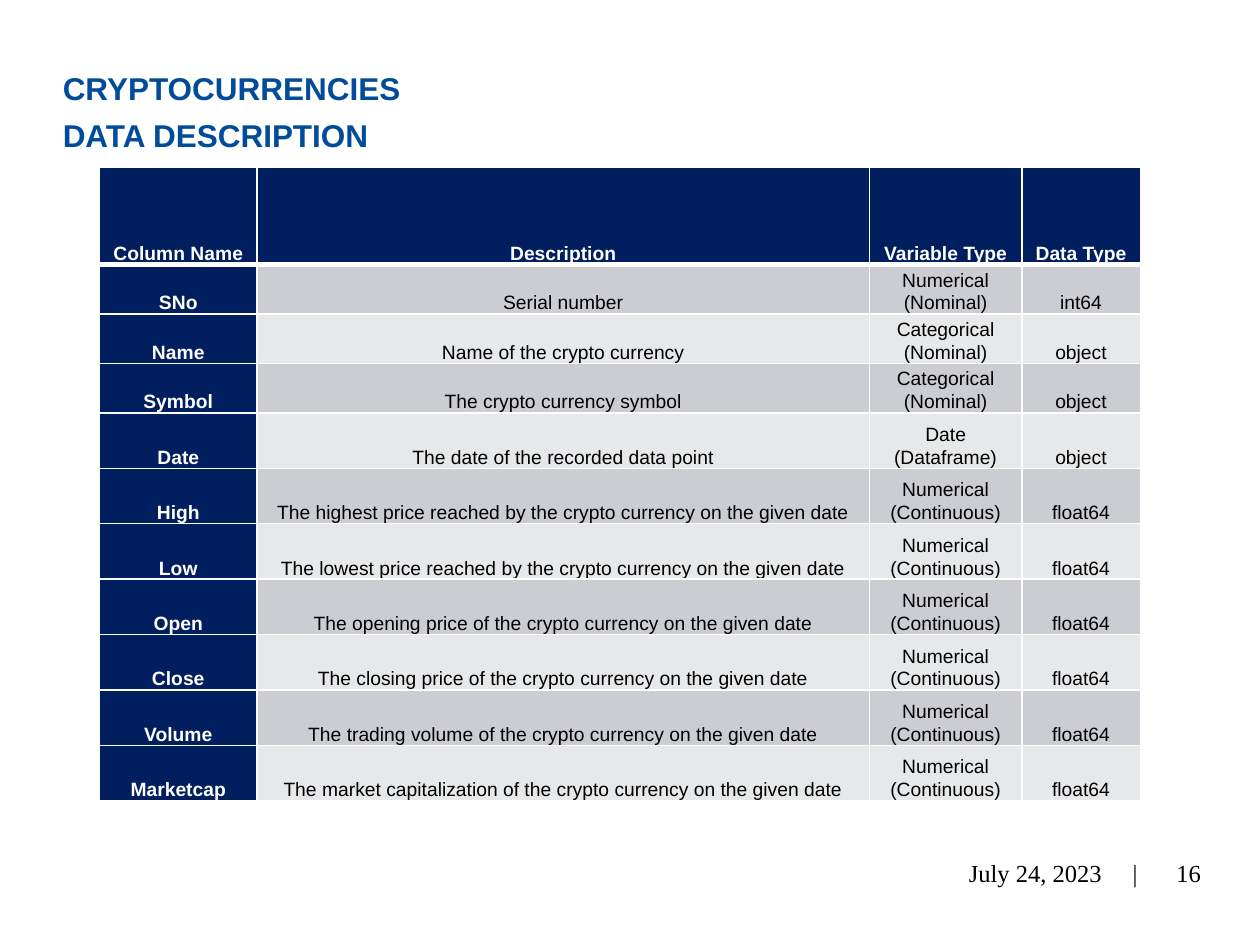
from dataclasses import dataclass

from lxml import etree
from pptx import Presentation
from pptx.dml.color import RGBColor
from pptx.enum import text as t
from pptx.oxml import ns
from pptx.util import Inches, Pt


@dataclass(frozen=True)
class Theme:
    title: str = "004C9B"
    navy: str = "011E5E"
    white: str = "FFFFFF"
    black: str = "000000"
    bands: tuple = ("CCCDD2", "E7E8EA")
    sans: str = "Arial"
    serif: str = "Times New Roman"
    title_size: int = 18
    table_size: int = 11
    footer_size: int = 14


THEME = Theme()
CONTINUOUS = "Numerical (Continuous)"
HEADERS = ("Column Name", "Description", "Variable Type", "Data Type")
FIELDS = (
    ("SNo", "Serial number", "Numerical (Nominal)", "int64"),
    ("Name", "Name of the crypto currency", "Categorical (Nominal)", "object"),
    ("Symbol", "The crypto currency symbol", "Categorical (Nominal)", "object"),
    ("Date", "The date of the recorded data point", "Date (Dataframe)", "object"),
    ("High", "The highest price reached by the crypto currency on the given date",
     CONTINUOUS, "float64"),
    ("Low", "The lowest price reached by the crypto currency on the given date",
     CONTINUOUS, "float64"),
    ("Open", "The opening price of the crypto currency on the given date",
     CONTINUOUS, "float64"),
    ("Close", "The closing price of the crypto currency on the given date",
     CONTINUOUS, "float64"),
    ("Volume", "The trading volume of the crypto currency on the given date",
     CONTINUOUS, "float64"),
    ("Marketcap", "The market capitalization of the crypto currency on the given date",
     CONTINUOUS, "float64"),
)
COLUMN_WIDTHS = (1.25, 4.86, 1.21, 0.94)
ROW_HEIGHTS = (0.77,) + (0.38,) * 3 + (0.44,) * 7


def write(frame, content, *, font, size, color, bold=False,
          align=t.PP_ALIGN.LEFT, spacing=None, tab=None):
    frame.word_wrap = True
    paragraph = frame.paragraphs[0]
    paragraph.text = content
    paragraph.alignment = align
    if spacing is not None:
        paragraph.line_spacing = spacing
    if tab is not None:
        stops = etree.SubElement(paragraph._p.get_or_add_pPr(), ns.qn("a:tabLst"))
        etree.SubElement(stops, ns.qn("a:tab"), pos=str(tab), algn="l")
    for run in paragraph.runs:
        run.font.name = font
        run.font.size = Pt(size)
        run.font.bold = bold
        run.font.color.rgb = RGBColor.from_string(color)


def add_frame(slide, box, anchor=t.MSO_ANCHOR.TOP):
    frame = slide.shapes.add_textbox(*map(Inches, box)).text_frame
    frame.vertical_anchor = anchor
    return frame


def set_borders(cell, bottom):
    """Draw white cell edges; the schema wants them ahead of the fill."""
    properties = cell._tc.get_or_add_tcPr()
    for place, (edge, width) in enumerate(
            (("lnL", 1), ("lnR", 1), ("lnT", 1), ("lnB", bottom))):
        line = etree.Element(ns.qn(f"a:{edge}"), w=str(Pt(width)))
        fill = etree.SubElement(line, ns.qn("a:solidFill"))
        etree.SubElement(fill, ns.qn("a:srgbClr"), val=THEME.white)
        properties.insert(place, line)


def add_title(slide, box):
    write(add_frame(slide, box), "CRYPTOCURRENCIES\vDATA DESCRIPTION",
          font=THEME.sans, size=THEME.title_size, color=THEME.title,
          bold=True, spacing=Pt(26.6))


def add_field_table(slide, box):
    rows = (HEADERS,) + FIELDS
    table = slide.shapes.add_table(
        len(rows), len(HEADERS), *map(Inches, box)).table
    table.first_col = True
    for column, width in zip(table.columns, COLUMN_WIDTHS):
        column.width = Inches(width)
    for row, height in zip(table.rows, ROW_HEIGHTS):
        row.height = Inches(height)
    for r, values in enumerate(rows):
        for c, value in enumerate(values):
            cell = table.cell(r, c)
            heading = r == 0 or c == 0
            cell.margin_left = cell.margin_right = Inches(0.06)
            cell.margin_top = cell.margin_bottom = 0
            cell.vertical_anchor = t.MSO_ANCHOR.BOTTOM
            cell.fill.solid()
            cell.fill.fore_color.rgb = RGBColor.from_string(
                THEME.navy if heading else THEME.bands[(r - 1) % 2])
            set_borders(cell, bottom=3 if r == 0 else 1)
            write(cell.text_frame, value, font=THEME.sans, size=THEME.table_size,
                  color=THEME.white if heading else THEME.black, bold=heading,
                  align=t.PP_ALIGN.CENTER, spacing=1.07)


def add_footer(slide, box):
    left, top, width, height = box
    number_width = 0.74
    style = dict(font=THEME.serif, size=THEME.footer_size, color=THEME.black)
    date = add_frame(slide, (left, top, 2.27, height), t.MSO_ANCHOR.MIDDLE)
    date.margin_left = Inches(0.83)
    date.margin_right = 0
    write(date, "July 24, 2023\t|", tab=Inches(1.3), **style)
    number = add_frame(slide, (left + width - number_width, top, number_width, height),
                       t.MSO_ANCHOR.MIDDLE)
    write(number, "16", align=t.PP_ALIGN.RIGHT, **style)


def main():
    deck = Presentation()
    deck.slide_width, deck.slide_height = Inches(10), Inches(7.5)
    slide = deck.slides.add_slide(deck.slide_layouts[6])
    add_title(slide, (0.4, 0.43, 9.24, 1.17))
    add_field_table(slide, (0.79, 1.33, sum(COLUMN_WIDTHS), sum(ROW_HEIGHTS)))
    add_footer(slide, (6.86, 6.73, 2.77, 0.4))
    deck.save("out.pptx")


if __name__ == "__main__":
    main()
